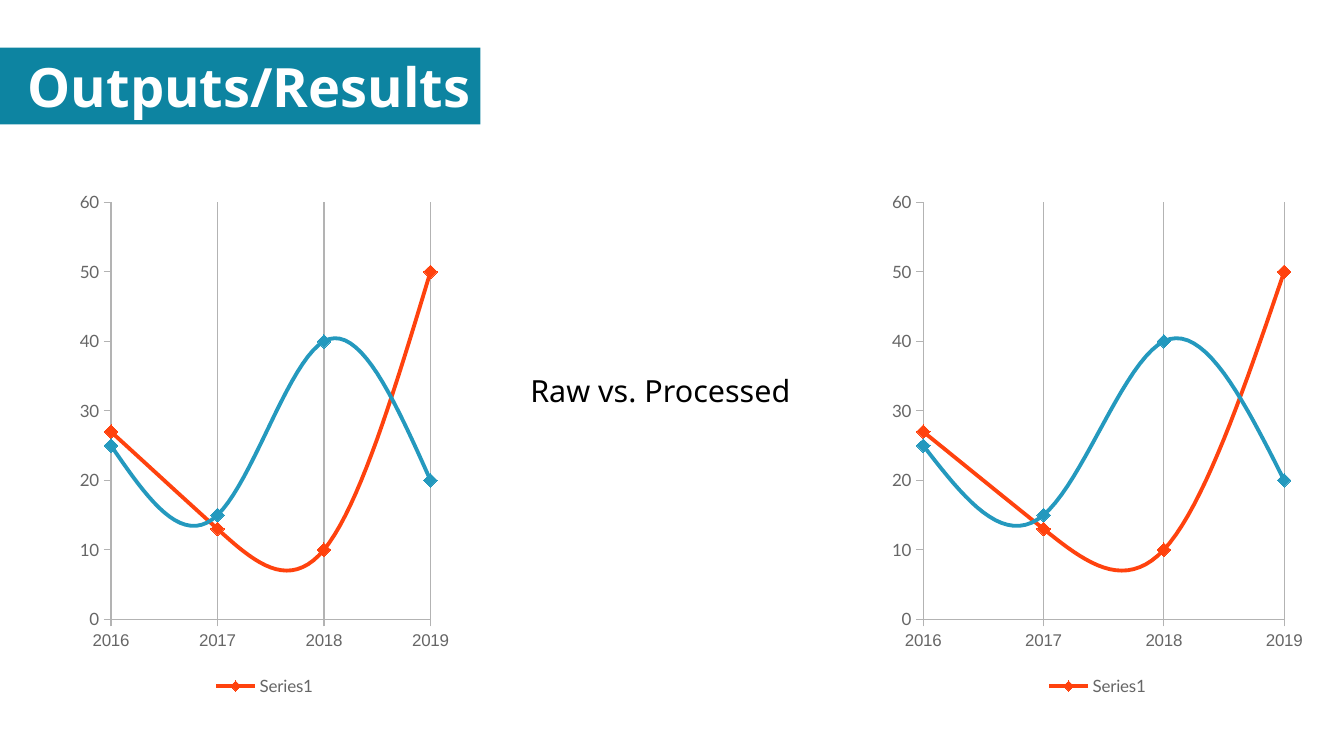
"""Build the Outputs/Results slide with two smoothed line charts."""
from lxml import etree
from pptx import Presentation
from pptx.chart.data import CategoryChartData
from pptx.dml.color import RGBColor
from pptx.enum.chart import (XL_CHART_TYPE, XL_LEGEND_POSITION, XL_MARKER_STYLE,
                             XL_TICK_MARK)
from pptx.enum.shapes import MSO_SHAPE
from pptx.enum.text import MSO_ANCHOR, PP_ALIGN
from pptx.oxml import parse_xml
from pptx.oxml.ns import nsdecls, qn
from pptx.util import Inches, Pt

TEAL = RGBColor(0x0D, 0x84, 0xA1)
WHITE = RGBColor(0xFF, 0xFF, 0xFF)
BLACK = RGBColor(0, 0, 0)
ORANGE = RGBColor(0xFF, 0x42, 0x0E)
BLUE = RGBColor(0x24, 0x99, 0xBE)
GRAY = RGBColor(0x66, 0x66, 0x66)
RULE = RGBColor(0xB3, 0xB3, 0xB3)

W, H = 11.02, 6.2
TITLE = "Outputs/Results"
CAPTION = "Raw vs. Processed"
YEARS = ["2016", "2017", "2018", "2019"]
SERIES = [("Series1", (27, 13, 10, 50), ORANGE), ("", (25, 15, 40, 20), BLUE)]
CHARTS = [(0.59, 3.16), (7.25, 3.5)]
CHART_TOP, CHART_H = 1.5, 4.25
PLOT_LEFT, PLOT_RIGHT, PLOT_TOP, PLOT_H = 0.32, 0.22, 0.16, 3.42
TITLE_FONT = {"size": Pt(32), "name": "Noto Sans", "bold": True}
CAPTION_FONT = {"size": Pt(18), "name": "Noto Sans"}


def set_attrs(obj, values):
    for key, value in values.items():
        setattr(obj, key, value)


def set_font(font, color, values):
    set_attrs(font, values)
    font.color.rgb = color


def set_line(line, color, width):
    line.color.rgb = color
    line.width = Pt(width)


def add_text(s, box, text, color, font, frame, align):
    tf = s.shapes.add_textbox(*map(Inches, box)).text_frame
    set_attrs(tf, {"word_wrap": True, **frame})
    p = tf.paragraphs[0]
    p.alignment = align
    r = p.add_run()
    r.text = text
    set_font(r.font, color, font)


def place_plot(chart, width):
    area = chart.plots[0]._element.getparent()
    for old in area.findall(qn("c:layout")):
        area.remove(old)
    layout = parse_xml(f'<c:layout {nsdecls("c")}><c:manualLayout/></c:layout>')
    shares = {"layoutTarget": "inner", "xMode": "edge", "yMode": "edge",
              "x": PLOT_LEFT / width, "y": PLOT_TOP / CHART_H,
              "w": 1 - (PLOT_LEFT + PLOT_RIGHT) / width, "h": PLOT_H / CHART_H}
    for tag, value in shares.items():
        etree.SubElement(layout[0], qn(f"c:{tag}")).set("val", str(value))
    area.insert(0, layout)


def start_on_axis(axis):
    el = axis._element
    for old in el.findall(qn("c:crossBetween")):
        el.remove(old)
    el.find(qn("c:crosses")).addnext(
        parse_xml(f'<c:crossBetween {nsdecls("c")} val="midCat"/>'))


def add_line_chart(s, left, width):
    data = CategoryChartData()
    data.categories = YEARS
    for name, values, _ in SERIES:
        data.add_series(name, values)
    box = map(Inches, (left, CHART_TOP, width, CHART_H))
    chart = s.shapes.add_chart(XL_CHART_TYPE.LINE_MARKERS, *box, data).chart
    set_attrs(chart, {"has_title": False, "has_legend": True})
    set_font(chart.font, BLACK, {"size": Pt(10), "name": "Arial"})
    chart.plots[0].vary_by_categories = False
    for series, (_, _, color) in zip(chart.plots[0].series, SERIES):
        series.smooth = True
        set_line(series.format.line, color, 2.27)
        set_attrs(series.marker, {"style": XL_MARKER_STYLE.DIAMOND, "size": 8})
        series.marker.format.fill.solid()
        series.marker.format.fill.fore_color.rgb = color
        series.marker.format.line.color.rgb = color

    years, values = chart.category_axis, chart.value_axis
    for axis, font, grid in ((years, "Arial", True), (values, "Lato", False)):
        set_attrs(axis, {"has_major_gridlines": grid,
                         "major_tick_mark": XL_TICK_MARK.OUTSIDE,
                         "minor_tick_mark": XL_TICK_MARK.NONE})
        set_line(axis.format.line, RULE, 0)
        set_font(axis.tick_labels.font, GRAY, {"size": Pt(10), "name": font})
    set_line(years.major_gridlines.format.line, RULE, 0)
    set_attrs(values, {"minimum_scale": 0, "maximum_scale": 60, "major_unit": 10})
    start_on_axis(values)

    set_attrs(chart.legend, {"position": XL_LEGEND_POSITION.BOTTOM,
                             "include_in_layout": False})
    set_font(chart.legend.font, GRAY, {"size": Pt(10), "name": "Lato"})
    chart.legend._element.find(qn("c:legendPos")).addnext(parse_xml(
        f'<c:legendEntry {nsdecls("c")}><c:idx val="1"/><c:delete val="1"/></c:legendEntry>'))
    place_plot(chart, width)


def main():
    prs = Presentation()
    set_attrs(prs, {"slide_width": Inches(W), "slide_height": Inches(H)})
    s = prs.slides.add_slide(prs.slide_layouts[6])

    band = s.shapes.add_shape(MSO_SHAPE.RECTANGLE, *map(Inches, (0, 0.39, 3.94, 0.63)))
    band.shadow.inherit = False
    band.fill.solid()
    band.fill.fore_color.rgb = TEAL
    band.line.fill.background()

    margins = ("margin_left", "margin_right", "margin_top", "margin_bottom")
    add_text(s, (0, 0.31, 3.86, 0.79), TITLE, WHITE, TITLE_FONT,
             {"vertical_anchor": MSO_ANCHOR.MIDDLE, **dict.fromkeys(margins, 0)},
             PP_ALIGN.RIGHT)
    for left, width in CHARTS:
        add_line_chart(s, left, width)
    add_text(s, (4.25, 3, 2.75, 1), CAPTION, BLACK, CAPTION_FONT, {}, PP_ALIGN.LEFT)
    prs.save("out.pptx")


if __name__ == "__main__":
    main()
